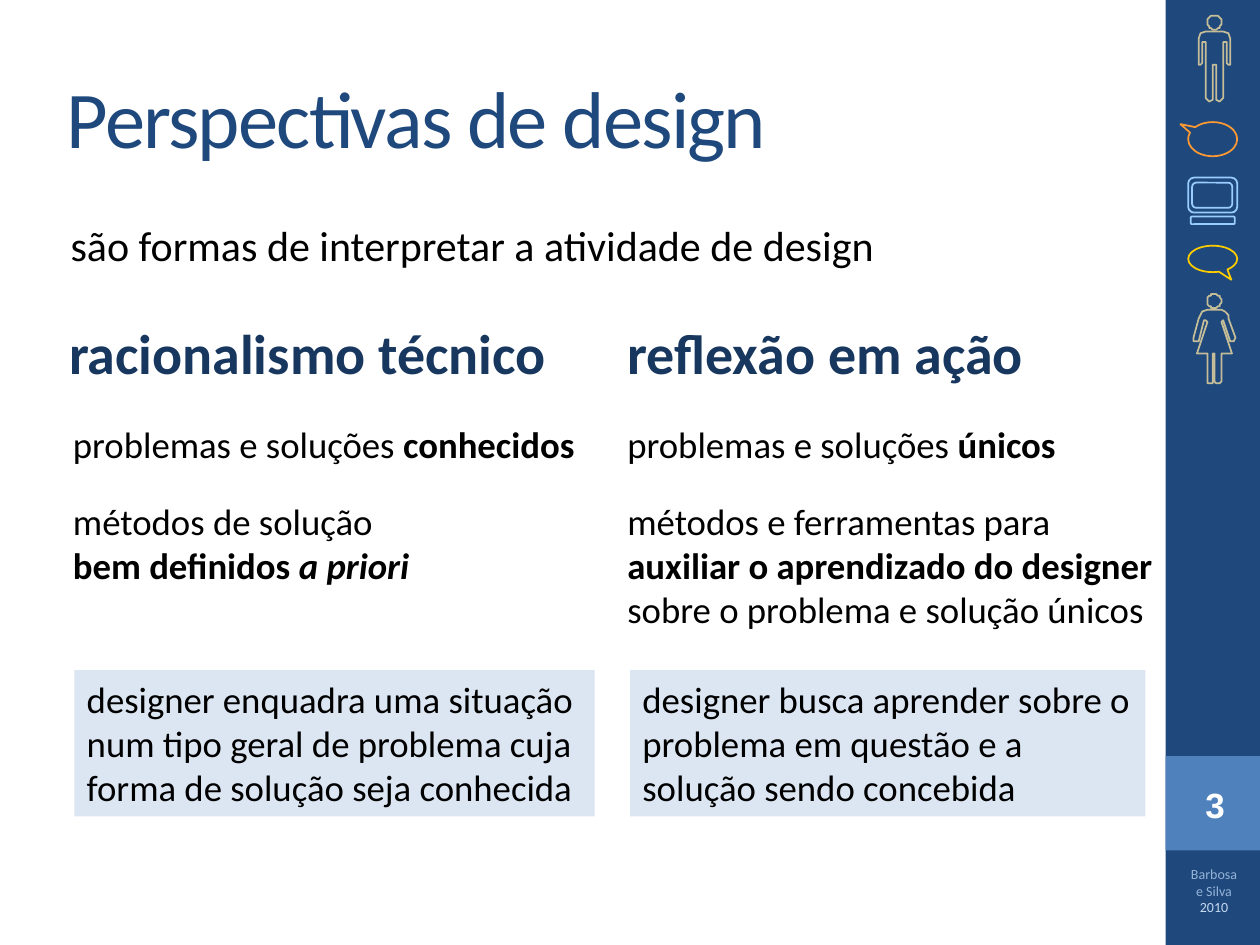
import pptx
import pptx.util
import pptx.dml.color
import pptx.enum.shapes
import pptx.enum.text
import pptx.oxml.ns
from dataclasses import dataclass
from math import cos, pi, sin
from typing import Optional

Pt = pptx.util.Pt
Kind = pptx.enum.shapes.MSO_SHAPE
Align = pptx.enum.text.PP_ALIGN
Fit = pptx.enum.text.MSO_AUTO_SIZE

HUES = {
    "navy": "1F497D", "blue": "4F81BD", "deep": "17375E", "pale": "DCE6F2",
    "sand": "C4BD97", "flame": "FF9933", "sky": "99CCFF", "gold": "FFCC00",
    "mist": "95B3D7", "ice": "C6D9F1", "white": "FFFFFF", "black": "000000",
}


@dataclass
class Span:
    text: str
    bold: Optional[bool] = None
    slant: Optional[bool] = None
    hue: Optional[str] = None
    ends: bool = False


@dataclass
class Note:
    box: tuple
    spans: list
    size: float = 21
    hue: str = "black"
    bold: Optional[bool] = None
    fill: Optional[str] = None
    font: str = "Calibri"
    align: Align = Align.LEFT
    wrap: bool = True
    lead: float = 0


@dataclass
class Mark:
    kind: Kind
    box: tuple
    fill: Optional[str] = None
    line: Optional[str] = None
    bends: tuple = ()


@dataclass
class Figure:
    mid: float
    head: float
    half: list


MARKS = [
    Mark(Kind.RECTANGLE, (666, 0, 54, 540), fill="navy"),
    Mark(Kind.RECTANGLE, (666, 432, 54, 54), fill="blue"),
    Mark(Kind.OVAL_CALLOUT, (679, 69.8, 28, 19.5), line="flame", bends=(-0.66, -0.44)),
    Mark(Kind.ROUNDED_RECTANGLE, (679, 101.5, 28, 20), line="sky"),
    Mark(Kind.ROUNDED_RECTANGLE, (681.2, 104.4, 23, 14.4), line="sky"),
    Mark(Kind.ROUNDED_RECTANGLE, (680.4, 123.8, 25.2, 4.3), line="sky"),
    Mark(Kind.OVAL_CALLOUT, (679, 140.4, 28, 15.1), line="gold", bends=(0.38, 0.79)),
]

MAN = Figure(694, 12.7, [
    (0, 18), (5, 18), (7.9, 19.4), (9.4, 22.3), (9.4, 36), (8.6, 37),
    (7.6, 37), (6.6, 36), (6.6, 24.3), (5.9, 23.6), (5, 24.3), (5, 55.6),
    (4.2, 57), (2.8, 57.6), (1.4, 57), (0.7, 55.6), (0.7, 37.4), (0, 37),
])
WOMAN = Figure(693.8, 172, [
    (0, 177), (4, 177), (6.5, 178), (8, 180), (8.6, 181.6), (11.9, 193),
    (11.5, 194.6), (10.4, 195.3), (9, 194.6), (5.6, 183), (4.9, 182.7),
    (4.3, 183.6), (9.8, 202.3), (4, 202.3), (4, 217.5), (3.4, 218.7),
    (2.4, 219), (1, 218.6), (0.6, 217.5), (0.6, 202.3), (0, 202.3),
])

LEFT, RIGHT = 34.6, 351.4
TITLE = Note((31, 21.6, 599.8, 90), [Span("Perspectivas de design")], 46, "navy")
BODY = Note((33.1, 121.7, 599.8, 378),
            [Span("são formas de interpretar a atividade de design")], 24, lead=4.8)
NOTES = [
    Note((670.3, 444.2, 48.2, 31.7), [Span("3")], 20, "white", True,
         font="Arial", align=Align.CENTER),
    Note((671.8, 491, 43.9, 39.6),
         [Span("Barbosa e Silva "), Span("2010", hue="ice")],
         8, "mist", align=Align.CENTER, lead=1.6),
    Note((32.4, 178.6, 289.4, 46), [Span("racionalismo técnico")], 32, "deep", True, wrap=False),
    Note((RIGHT, 178.6, 243.4, 46), [Span("reflexão em ação")], 32, "deep", True, wrap=False),
    Note((LEFT, 237.6, 311.8, 32.4),
         [Span("problemas e soluções "), Span("conhecidos", True)]),
    Note((RIGHT, 237.6, 300, 32.4),
         [Span("problemas e soluções "), Span("únicos", True)]),
    Note((LEFT, 281.5, 297.4, 58.3),
         [Span("métodos de solução", ends=True), Span("bem definidos ", True),
          Span("a priori", True, True)]),
    Note((RIGHT, 281.5, 321.8, 83.5),
         [Span("métodos e ferramentas para "),
          Span("auxiliar o aprendizado do designer", True),
          Span(" sobre o problema e solução únicos")]),
    Note((42.5, 383, 297.4, 83.5),
         [Span("designer enquadra uma situação num tipo geral de problema "
               "cuja forma de solução seja conhecida")], fill="pale"),
    Note((360, 383, 294.5, 83.5),
         [Span("designer busca aprender sobre o problema em questão e a "
               "solução sendo concebida")], fill="pale"),
]


def tint(name: str):
    return pptx.dml.color.RGBColor.from_string(HUES[name])


def paint(shape, fill: Optional[str], line: Optional[str]) -> None:
    shape.shadow.inherit = False
    if fill:
        shape.fill.solid()
        shape.fill.fore_color.rgb = tint(fill)
    else:
        shape.fill.background()
    if line:
        shape.line.color.rgb = tint(line)
        shape.line.width = Pt(1)
    else:
        shape.line.fill.background()


def draw_mark(slide, mark: Mark) -> None:
    shape = slide.shapes.add_shape(mark.kind, *map(Pt, mark.box))
    for spot, bend in enumerate(mark.bends):
        shape.adjustments[spot] = bend
    paint(shape, mark.fill, mark.line)


def draw_figure(slide, fig: Figure) -> None:
    turns = [2 * pi * step / 32 for step in range(32)]
    head = [(fig.mid + 4 * cos(turn), fig.head + 4 * sin(turn)) for turn in turns]
    trunk = [(fig.mid + x, y) for x, y in fig.half]
    trunk += [(fig.mid - x, y) for x, y in reversed(fig.half)]
    pen = slide.shapes.build_freeform(*head[0], scale=float(Pt(1)))
    pen.add_line_segments(head[1:], close=True)
    pen.move_to(*trunk[0])
    pen.add_line_segments(trunk[1:], close=True)
    paint(pen.convert_to_shape(), None, "sand")


def write(shape, note: Note) -> None:
    shape.left, shape.top, shape.width, shape.height = map(Pt, note.box)
    frame = shape.text_frame
    frame.auto_size = Fit.NONE
    frame.word_wrap = note.wrap
    para = frame.paragraphs[0]
    para.alignment = note.align
    para.space_before = Pt(note.lead)
    para.font.name = note.font
    para.font.size = Pt(note.size)
    para.font.bold = note.bold
    para.font.color.rgb = tint(note.hue)
    for span in note.spans:
        run = para.add_run()
        run.text = span.text
        face = run.font
        face.name, face.size = note.font, Pt(note.size)
        face.bold = note.bold if span.bold is None else span.bold
        face.italic = span.slant
        face.color.rgb = tint(span.hue or note.hue)
        if span.ends:
            para.add_line_break()


def draw_note(slide, note: Note) -> None:
    shape = slide.shapes.add_textbox(*map(Pt, note.box))
    if note.fill:
        shape.fill.solid()
        shape.fill.fore_color.rgb = tint(note.fill)
    write(shape, note)


def main() -> None:
    deck = pptx.Presentation()
    deck.slide_width, deck.slide_height = Pt(720), Pt(540)
    slide = deck.slides.add_slide(deck.slide_layouts[1])
    for mark in MARKS:
        draw_mark(slide, mark)
    for fig in (WOMAN, MAN):
        draw_figure(slide, fig)
    title, body = slide.shapes.title, slide.placeholders[1]
    write(title, TITLE)
    title.text_frame.vertical_anchor = pptx.enum.text.MSO_ANCHOR.MIDDLE
    title.text_frame.paragraphs[0].runs[0]._r.get_or_add_rPr().set("spc", "-100")
    write(body, BODY)
    props = body.text_frame.paragraphs[0]._p.get_or_add_pPr()
    props.set("marL", "0")
    props.set("indent", "0")
    plain = props.makeelement(pptx.oxml.ns.qn("a:buNone"), {})
    props.find(pptx.oxml.ns.qn("a:spcBef")).addnext(plain)
    for note in NOTES:
        draw_note(slide, note)
    deck.save("out.pptx")


if __name__ == "__main__":
    main()
